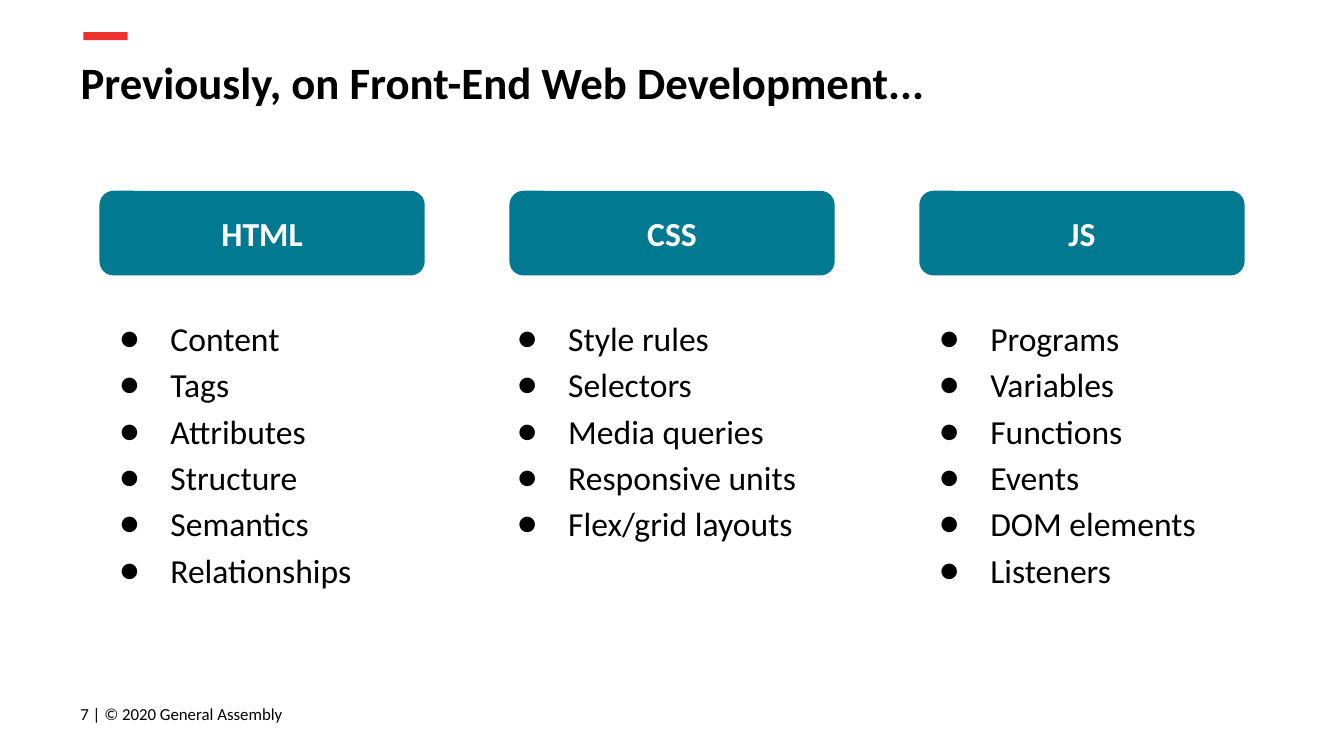
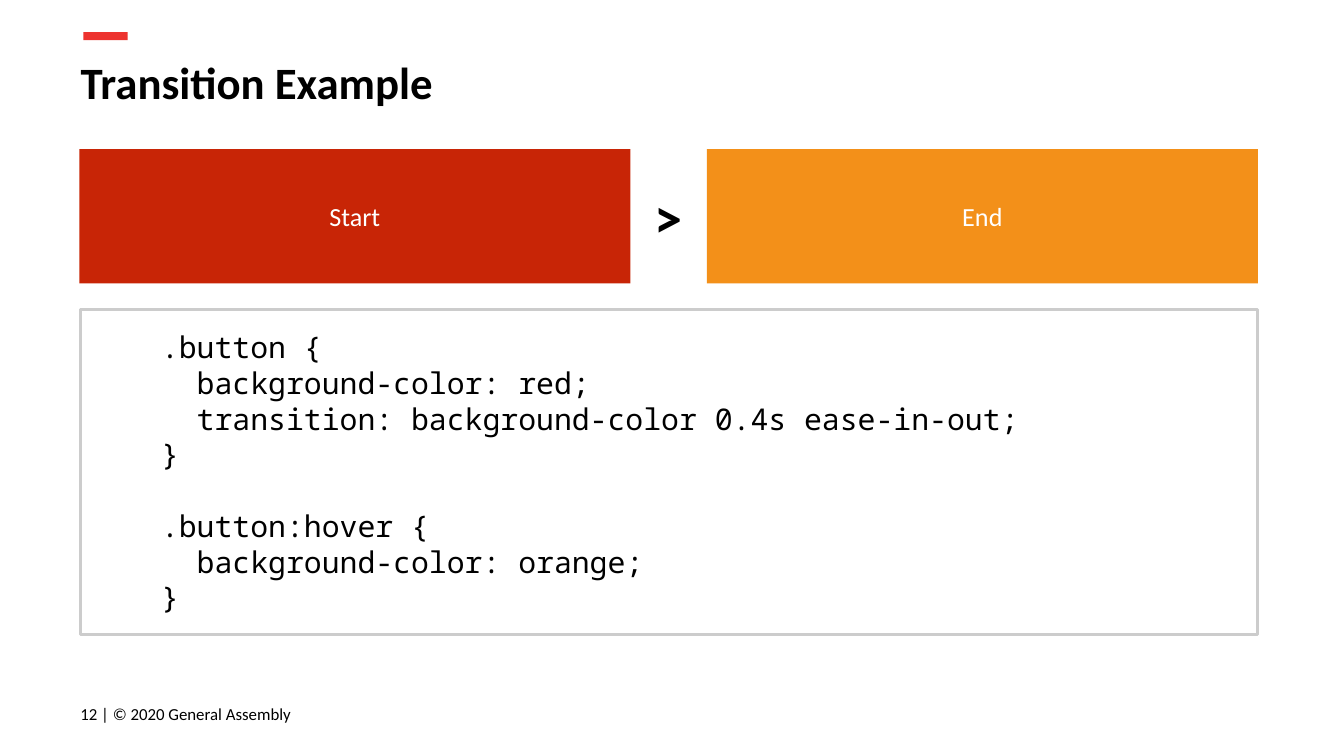
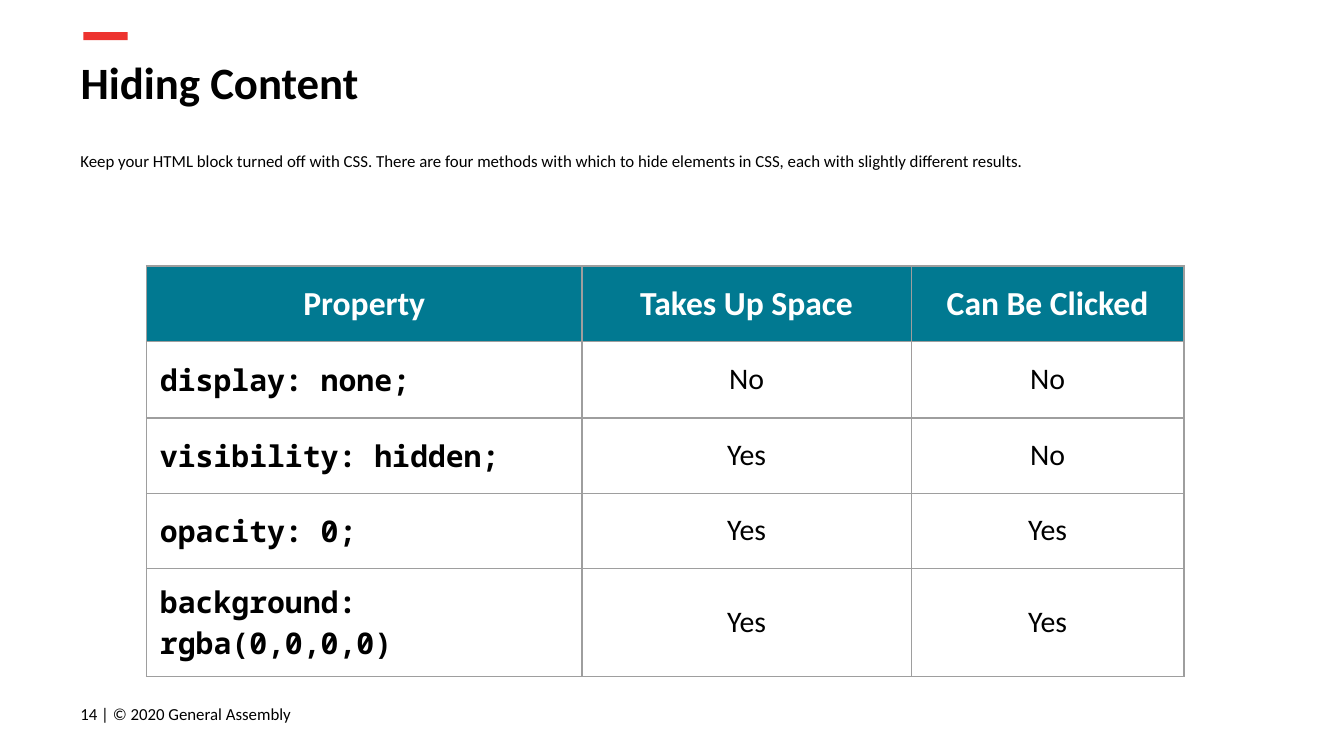
from lxml.etree import SubElement
from pptx import Presentation
from pptx.dml.color import RGBColor
from pptx.enum.shapes import MSO_SHAPE
from pptx.enum.text import MSO_ANCHOR, MSO_AUTO_SIZE, PP_ALIGN
from pptx.oxml.ns import qn
from pptx.util import Pt

PX = 9144  # 100 px to the inch
WIDE = 1000
PAD = 10
SANS, MONO = "Calibri", "Noto Sans Mono"
INK = {
    "black": "000000",
    "white": "FFFFFF",
    "accent": "ED332F",
    "teal": "017991",
    "red": "C82506",
    "orange": "F39019",
    "frame": "CCCCCC",
    "grid": "9E9E9E",
}
TITLE = {"size": 24, "bold": True}
NOTE = {"size": 9}
HEAD = {"size": 18, "bold": True, "color": "white"}
ITEM = {"size": 18}
STATE = {"size": 14, "color": "white"}
SIGN = {"size": 30, "bold": True}
CODE = {"size": 16, "name": MONO}
PROP = {**CODE, "bold": True}
VALUE = {"size": 16}

TOPICS = [
    ("HTML", 256, ["Content", "Tags", "Attributes", "Structure", "Semantics",
                   "Relationships"]),
    ("CSS", 274, ["Style rules", "Selectors", "Media queries",
                  "Responsive units", "Flex/grid layouts"]),
    ("JS", 256, ["Programs", "Variables", "Functions", "Events",
                 "DOM elements", "Listeners"]),
]
RULES = [
    [".button {",
     "  background-color: red;",
     "  transition: background-color 0.4s ease-in-out;",
     "}"],
    [".button:hover {",
     "  background-color: orange;",
     "}"],
]
HIDING = [
    ["Property", "Takes Up Space", "Can Be Clicked"],
    ["display: none;", "No", "No"],
    ["visibility: hidden;", "Yes", "No"],
    ["opacity: 0;", "Yes", "Yes"],
    ["background: rgba(0,0,0,0)", "Yes", "Yes"],
]


def emu(*sizes):
    return [size * PX for size in sizes]


def tint(name):
    return RGBColor.from_string(INK[name])


def style(para, look, align=PP_ALIGN.LEFT):
    para.alignment = align
    form = {"name": SANS, "bold": False, "color": "black", **look}
    para.font.color.rgb = tint(form.pop("color"))
    form["size"] = Pt(form["size"])
    for key, value in form.items():
        setattr(para.font, key, value)


def pad(target):
    for side in ("left", "right", "top", "bottom"):
        setattr(target, f"margin_{side}", PAD * PX)


def write(shape, lines, look, align=PP_ALIGN.LEFT, anchor=MSO_ANCHOR.MIDDLE):
    """Fill a shape with one paragraph a line and return the paragraphs."""
    frame = shape.text_frame
    frame.word_wrap = True
    frame.auto_size = MSO_AUTO_SIZE.NONE
    frame.vertical_anchor = anchor
    pad(frame)
    frame.text = "\n".join(lines)
    for para in frame.paragraphs:
        style(para, look, align)
    return frame.paragraphs


def add_text(slide, box, lines, look, **place):
    return write(slide.shapes.add_textbox(*emu(*box)), lines, look, **place)


def add_block(slide, box, fill=None, line=None, kind=MSO_SHAPE.RECTANGLE):
    block = slide.shapes.add_shape(kind, *emu(*box))
    block.shadow.inherit = False
    if fill:
        block.fill.solid()
        block.fill.fore_color.rgb = tint(fill)
    else:
        block.fill.background()
    if line:
        block.line.color.rgb = tint(line)
        block.line.width = Pt(1.5)
    else:
        block.line.fill.background()
    return block


def add_page(deck, title, number):
    """Add a slide with the shared bar, title and footer."""
    slide = deck.slides.add_slide(deck.slide_layouts[5])
    add_block(slide, (62, 24, 33, 6), "accent")
    head = slide.shapes.title
    head.left, head.top, head.width, head.height = emu(50, 31, 932, 63)
    write(head, [title], TITLE, anchor=MSO_ANCHOR.TOP)
    add_text(slide, (50, 510, 259, 43),
             [f"{number} | © 2020 General Assembly"], NOTE)
    return slide


def set_bullet(para):
    props = para._p.get_or_add_pPr()
    props.set("marL", str(50 * PX))
    props.set("indent", str(-38 * PX))
    ink = SubElement(props, qn("a:buClr"))
    SubElement(ink, qn("a:srgbClr"), val=INK["black"])
    SubElement(props, qn("a:buFont"), typeface=SANS)
    SubElement(props, qn("a:buChar"), char="●")
    para.line_spacing = 1.15


def add_topic(slide, box, name, span, items):
    """Place a heading card with its list centred below."""
    left, top, width, height = box
    card = add_block(slide, box, "teal", kind=MSO_SHAPE.ROUNDED_RECTANGLE)
    write(card, [name], HEAD, PP_ALIGN.CENTER)
    area = (left + (width - span) // 2, top + height + 17, span, 203)
    for para in add_text(slide, area, items, ITEM, anchor=MSO_ANCHOR.TOP):
        set_bullet(para)


def add_states(slide, box):
    """Place the start and end blocks with a sign in the gap."""
    left, top, width, height = box
    block, sign = 410, 63
    for x, name, fill in ((left, "Start", "red"),
                          (left + width - block, "End", "orange")):
        shape = add_block(slide, (x, top, block, height), fill)
        write(shape, [name], STATE, PP_ALIGN.CENTER)
    spot = (left + (width - sign) // 2, top + (height - sign) // 2, sign, sign)
    add_text(slide, spot, [">"], SIGN, align=PP_ALIGN.CENTER)


def add_code(slide, box, rules):
    panel = add_block(slide, box, line="frame")
    paras = write(panel, [line for rule in rules for line in rule], CODE)
    for para in paras:
        para._p.get_or_add_pPr().set("marL", str(50 * PX))
    start = 0
    for rule in rules[:-1]:
        start += len(rule)
        paras[start].space_before = Pt(19)


def set_border(cell):
    props = cell._tc.get_or_add_tcPr()
    for side in "LRTB":
        line = SubElement(props, qn(f"a:ln{side}"), w=str(Pt(0.75)))
        fill = SubElement(line, qn("a:solidFill"))
        SubElement(fill, qn("a:srgbClr"), val=INK["grid"])


def add_grid(slide, left, top, widths, heights, rows):
    """Place a table with a teal head row and code in its first column."""
    size = emu(left, top, sum(widths), sum(heights))
    table = slide.shapes.add_table(len(rows), len(widths), *size).table
    table.first_row = table.horz_banding = False
    for column, width in zip(table.columns, widths):
        column.width = width * PX
    for line, height in zip(table.rows, heights):
        line.height = height * PX
    for y, row in enumerate(rows):
        for x, text in enumerate(row):
            cell = table.cell(y, x)
            cell.text = text
            cell.vertical_anchor = MSO_ANCHOR.MIDDLE
            pad(cell)
            set_border(cell)
            if y == 0:
                cell.fill.solid()
                cell.fill.fore_color.rgb = tint("teal")
            else:
                cell.fill.background()
            look = HEAD if y == 0 else VALUE if x else PROP
            align = PP_ALIGN.LEFT if look is PROP else PP_ALIGN.CENTER
            style(cell.text_frame.paragraphs[0], look, align)


def add_recap(deck):
    slide = add_page(deck, "Previously, on Front-End Web Development...", 7)
    for i, topic in enumerate(TOPICS):
        add_topic(slide, (74 + 305 * i, 142, 242, 63), *topic)


def add_example(deck):
    slide = add_page(deck, "Transition Example", 12)
    add_states(slide, (59, 111, 877, 100))
    add_code(slide, (60, 230, 876, 242), RULES)


def add_hiding(deck):
    slide = add_page(deck, "Hiding Content", 14)
    intro = add_text(
        slide, (50, 100, 899, 75),
        ["Keep your HTML block turned off with CSS. There are four methods "
         "with which to hide elements in CSS, each with slightly different "
         "results."], NOTE, anchor=MSO_ANCHOR.TOP)
    intro[0].line_spacing = 1.15
    add_grid(slide, 109, 198, (324, 245, 203), (56, 57, 56, 56, 56), HIDING)


def main():
    deck = Presentation()
    deck.slide_width = WIDE * PX
    deck.slide_height = deck.slide_width * 9 // 16
    add_recap(deck)
    add_example(deck)
    add_hiding(deck)
    deck.save("out.pptx")


if __name__ == "__main__":
    main()
